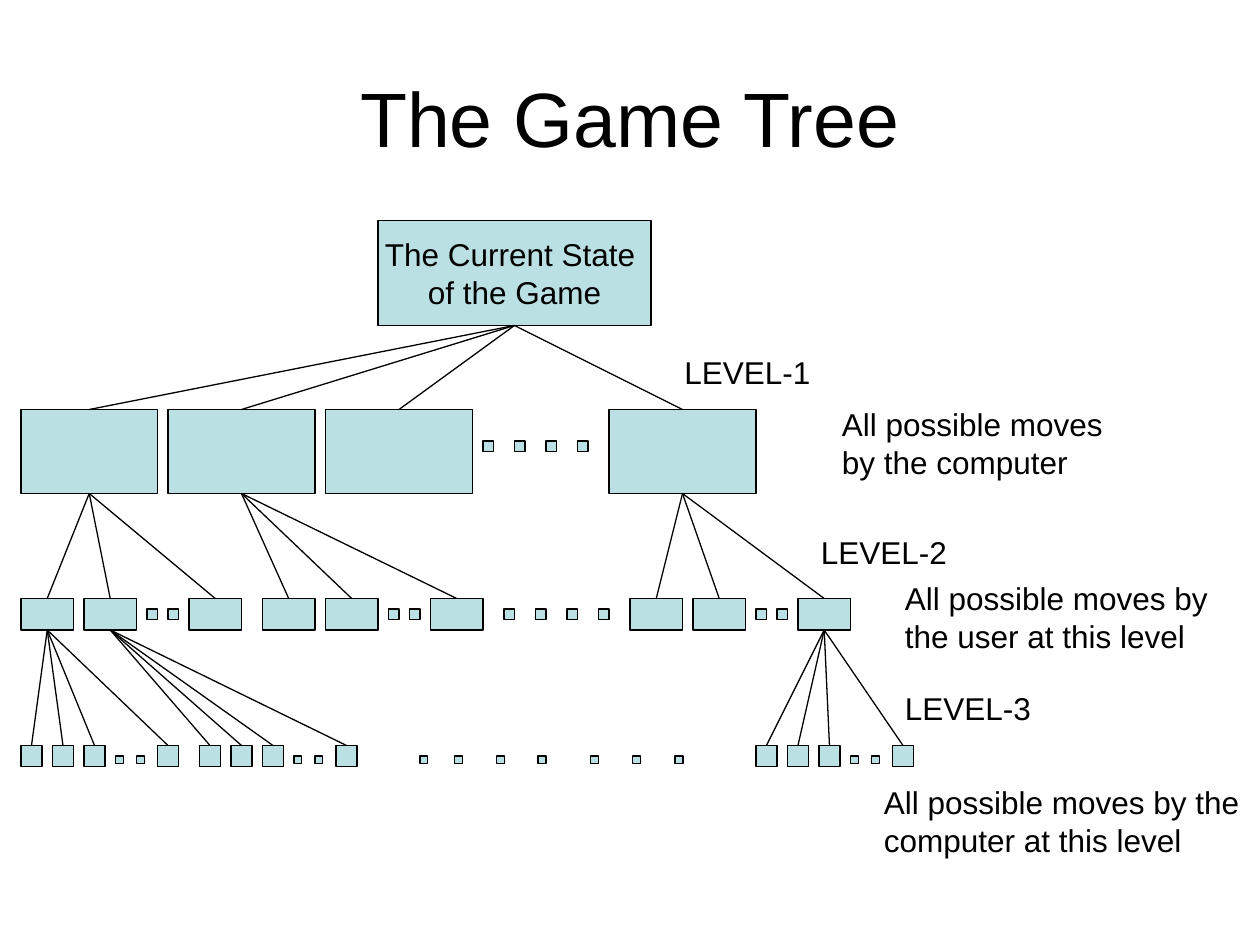
"""Build the game tree slide: a root state, three levels of moves and their captions."""
from dataclasses import dataclass

from lxml.etree import SubElement
from pptx import Presentation
from pptx.dml.color import RGBColor
from pptx.enum.shapes import MSO_CONNECTOR as Connector, MSO_SHAPE as Shape
from pptx.enum.text import MSO_ANCHOR as Anchor, PP_ALIGN as Align
from pptx.oxml.ns import qn
from pptx.util import Inches, Pt


@dataclass(frozen=True)
class Theme:
    font: str = "Arial"
    ink: RGBColor = RGBColor(0x00, 0x00, 0x00)
    node: RGBColor = RGBColor(0xBB, 0xE0, 0xE3)
    title: Pt = Pt(44)
    body: Pt = Pt(18)
    before: Pt = Pt(11.2)
    rule: Pt = Pt(0.75)


theme = Theme()
deck = Presentation()
deck.slide_width, deck.slide_height = Inches(10), Inches(7.5)
slide = deck.slides.add_slide(deck.slide_layouts[6])
cell = deck.slide_width / 120


def add_node(*box):
    node = slide.shapes.add_shape(Shape.RECTANGLE, *(round(cell * n) for n in box))
    node.shadow.inherit = False
    node.fill.solid()
    node.fill.fore_color.rgb = theme.node
    node.line.color.rgb = theme.ink
    node.line.width = theme.rule
    return node


def write(frame, text, size, align, before=None):
    frame.text = text
    for paragraph in frame.paragraphs:
        paragraph.alignment = align
        paragraph.space_before = before
        paragraph.font.name = theme.font
        paragraph.font.size = size
        paragraph.font.color.rgb = theme.ink


heading = slide.shapes.add_textbox(*(round(cell * n) for n in (6, 3.6, 108, 15))).text_frame
heading.word_wrap = True
heading.vertical_anchor = Anchor.MIDDLE
write(heading, "The Game Tree", theme.title, Align.CENTER)

root = add_node(36, 21, 26, 10).text_frame
root.word_wrap = False
root.vertical_anchor = Anchor.MIDDLE
write(root, "The Current State \nof the Game", theme.body, Align.CENTER)

# Each family: parent centre, then (left, width) of every child.
levels = [
    dict(parent_bottom=31, top=39, height=8,
         families=[(49, [(2, 13), (16, 14), (31, 14), (58, 14)])],
         dots=[46, 49, 52, 55], dot_top=42, dot_size=1),
    dict(parent_bottom=47, top=57, height=3,
         families=[(parent, [(start + step, 5) for step in (0, 6, 16)])
                   for parent, start in ((8.5, 2), (23, 25), (65, 60))],
         dots=[start + step for start in (2, 25, 60) for step in (10, 12)] + [48, 51, 54, 57],
         dot_top=58, dot_size=1),
    dict(parent_bottom=60, top=71, height=2,
         families=[(parent, [(start + step, 2) for step in (0, 3, 6, 13)])
                   for parent, start in ((4.5, 2), (10.5, 19), (78.5, 72))],
         dots=[start + step for start in (2, 19, 72) for step in (9, 11)]
         + [40, 43.3, 47.3, 51.25, 56.25, 60.25, 64.3],
         dot_top=72, dot_size=0.75),
]
levels[1]["dots"] = [start + step for start in (2, 25, 60) for step in (12, 14)] + [48, 51, 54, 57]

for level in levels:
    for parent, children in level["families"]:
        for left, width in children:
            add_node(left, level["top"], width, level["height"])
            ends = (parent, level["parent_bottom"], left + width / 2, level["top"])
            branch = slide.shapes.add_connector(Connector.STRAIGHT, *(round(cell * n) for n in ends))
            branch.line.color.rgb = theme.ink
            branch.line.width = theme.rule
            SubElement(branch._element.spPr, qn("a:effectLst"))
    for left in level["dots"]:
        add_node(left, level["dot_top"], level["dot_size"], level["dot_size"])

captions = [
    ("LEVEL-1", 64, 33, 15, 4.8),
    ("All possible moves by the computer", 79, 38, 30, 8.4),
    ("LEVEL-2", 77, 50.2, 15, 4.8),
    ("All possible moves by the user at this level", 85, 54.6, 34, 8.4),
    ("LEVEL-3", 85, 65, 15, 4.8),
    ("All possible moves by the computer at this level", 83, 74, 37, 8.4),
]
for text, *box in captions:
    caption = slide.shapes.add_textbox(*(round(cell * n) for n in box)).text_frame
    caption.word_wrap = True
    write(caption, text, theme.body, Align.LEFT, theme.before)

deck.save("out.pptx")
